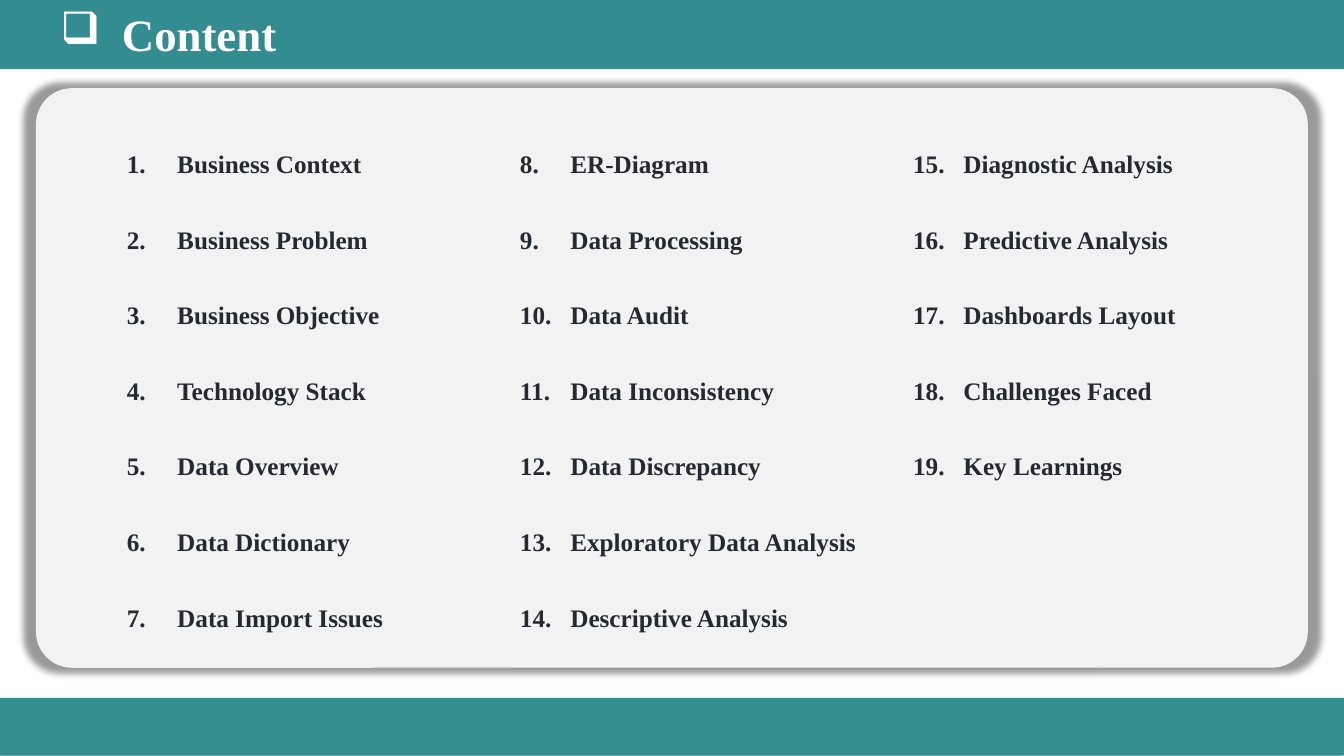
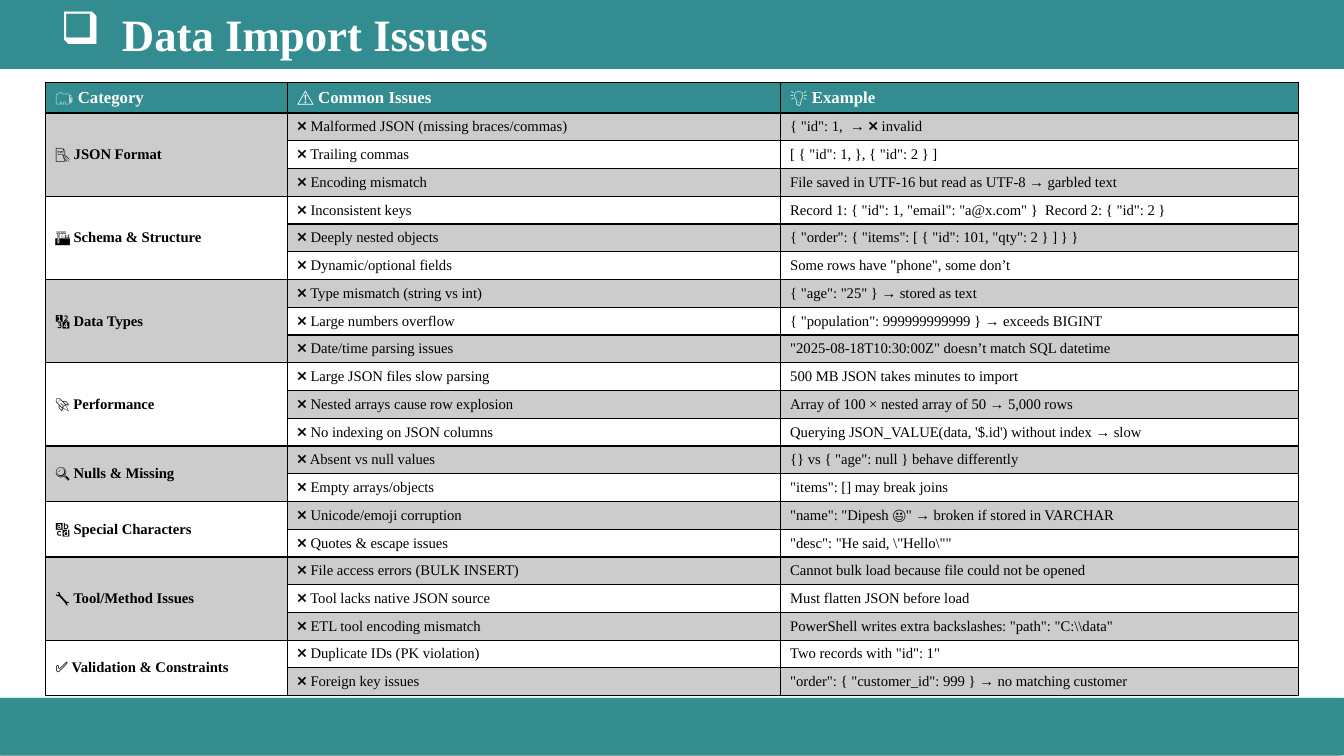
"""Build the content and data import slides."""
from lxml import etree
from pptx import Presentation
from pptx.dml.color import RGBColor
from pptx.enum import shapes, text
from pptx.oxml import ns
from pptx.util import Pt

TEAL = RGBColor(0x33, 0x8D, 0x90)
BASE = RGBColor(0x34, 0x8E, 0x90)
PANEL = RGBColor(0xF2, 0xF2, 0xF2)
INK = RGBColor(0x25, 0x29, 0x30)
GREY = RGBColor(0xCC, 0xCC, 0xCC)
WHITE = RGBColor(0xFF, 0xFF, 0xFF)
BLACK = RGBColor(0, 0, 0)
FONT = "Times New Roman"
WIDTH, HEIGHT = 960, 540
RECT = shapes.MSO_SHAPE.RECTANGLE
ROUND = shapes.MSO_SHAPE.ROUNDED_RECTANGLE

TOPICS = [
    ["Business Context", "Business Problem", "Business Objective", "Technology Stack",
     "Data Overview", "Data Dictionary", "Data Import Issues"],
    ["ER-Diagram", "Data Processing", "Data Audit", "Data Inconsistency",
     "Data Discrepancy", "Exploratory Data Analysis", "Descriptive Analysis"],
    ["Diagnostic Analysis", "Predictive Analysis", "Dashboards Layout",
     "Challenges Faced", "Key Learnings"],
]
HEADS = ["🗂️ Category", "⚠️ Common Issues", "💡 Example"]
GROUPS = [
    ("📝 ", "JSON Format", [
        ("Malformed JSON (missing braces/commas)", '{ "id": 1,  → ❌ invalid'),
        ("Trailing commas", '[ { "id": 1, }, { "id": 2 } ]'),
        ("Encoding mismatch", "File saved in UTF-16 but read as UTF-8 → garbled text")]),
    ("🏗️ ", "Schema & Structure", [
        ("Inconsistent keys", 'Record 1: { "id": 1, "email": "a@x.com" }  Record 2: { "id": 2 }'),
        ("Deeply nested objects", '{ "order": { "items": [ { "id": 101, "qty": 2 } ] } }'),
        ("Dynamic/optional fields", 'Some rows have "phone", some don’t')]),
    ("🔢 ", "Data Types", [
        ("Type mismatch (string vs int)", '{ "age": "25" } → stored as text'),
        ("Large numbers overflow", '{ "population": 999999999999 } → exceeds BIGINT'),
        ("Date/time parsing issues", '"2025-08-18T10:30:00Z" doesn’t match SQL datetime')]),
    ("🚀 ", "Performance", [
        ("Large JSON files slow parsing", "500 MB JSON takes minutes to import"),
        ("Nested arrays cause row explosion", "Array of 100 × nested array of 50 → 5,000 rows"),
        ("No indexing on JSON columns", "Querying JSON_VALUE(data, '$.id') without index → slow")]),
    ("🔍 ", "Nulls & Missing", [
        ("Absent vs null values", '{} vs { "age": null } behave differently'),
        ("Empty arrays/objects", '"items": [] may break joins')]),
    ("🔡 ", "Special Characters", [
        ("Unicode/emoji corruption", '"name": "Dipesh 😃" → broken if stored in VARCHAR'),
        ("Quotes & escape issues", r'"desc": "He said, \"Hello\""')]),
    ("🔧 ", "Tool/Method Issues", [
        ("File access errors (BULK INSERT)", "Cannot bulk load because file could not be opened"),
        ("Tool lacks native JSON source", "Must flatten JSON before load"),
        ("ETL tool encoding mismatch", r'PowerShell writes extra backslashes: "path": "C:\\data"')]),
    ("✅ ", "Validation & Constraints", [
        ("Duplicate IDs (PK violation)", 'Two records with "id": 1"'),
        ("Foreign key issues", '"order": { "customer_id": 999 } → no matching customer')]),
]


def node(owner, tag, **attrs):
    item = etree.SubElement(owner, ns.qn(tag))
    for name, value in attrs.items():
        item.set(name, str(value))
    return item


def write(para, words, size, color, bold=False):
    run = para.add_run()
    run.text = words
    font = run.font
    font.name, font.size, font.bold = FONT, Pt(size), bold
    font.color.rgb = color


def bullet(para, left, hang, tag, **attrs):
    props = para._p.get_or_add_pPr()
    props.set("marL", str(Pt(left)))
    props.set("indent", str(Pt(-hang)))
    node(props, tag, **attrs)


def block(slide, kind, box, fill, line=None):
    shape = slide.shapes.add_shape(kind, *map(Pt, box))
    shape.shadow.inherit = False
    shape.fill.solid()
    shape.fill.fore_color.rgb = fill
    if line:
        shape.line.color.rgb = fill
        shape.line.width = Pt(line)
    else:
        shape.line.fill.background()
    return shape


def shade(shape, blur, dist, angle, scale, align):
    effects = shape._element.spPr.find(ns.qn("a:effectLst"))
    outer = node(effects, "a:outerShdw", blurRad=Pt(blur), dist=Pt(dist), dir=angle * 60000,
                 sx=scale * 1000, sy=scale * 1000, algn=align, rotWithShape=0)
    color = node(outer, "a:prstClr", val="black")
    node(color, "a:alpha", val=40000)


def footer(slide):
    band = block(slide, RECT, (0, 498.5, WIDTH, 41), BASE)
    shade(band, 4, 3, 135, 100, "tr")


def title(slide, words):
    band = block(slide, RECT, (0, 0, WIDTH, 48.5), TEAL, 2)
    frame = band.text_frame
    frame.vertical_anchor = text.MSO_ANCHOR.MIDDLE
    para = frame.paragraphs[0]
    para.alignment = text.PP_ALIGN.LEFT
    bullet(para, 80, 44, "a:buChar", char="❑")
    write(para, words, 32, WHITE, True)


def topics(slide, left, start, names):
    box = slide.shapes.add_textbox(Pt(left), Pt(70), Pt(273), Pt(7.2 + 54 * len(names)))
    frame = box.text_frame
    frame.word_wrap = True
    for i, name in enumerate(names):
        para = frame.add_paragraph() if i else frame.paragraphs[0]
        bullet(para, 36, 36, "a:buAutoNum", type="arabicPeriod", startAt=start)
        para.line_spacing = Pt(54)
        write(para, name, 18, INK, True)


def border(cell, base):
    props = cell._tc.get_or_add_tcPr()
    for i, side in enumerate("LRTB"):
        line = etree.Element(ns.qn("a:ln" + side), w=str(Pt(base if side == "B" else 1)))
        node(node(line, "a:solidFill"), "a:srgbClr", val=str(BLACK))
        props.insert(i, line)


def style(cell, fill, base=1):
    cell.fill.solid()
    cell.fill.fore_color.rgb = fill
    cell.vertical_anchor = text.MSO_ANCHOR.MIDDLE
    cell.margin_top = cell.margin_bottom = Pt(2)
    border(cell, base)


def put(cell, *parts, size=10.5, color=BLACK):
    for words, bold in parts:
        write(cell.text_frame.paragraphs[0], words, size, color, bold)


def issues(slide):
    count = 1 + sum(len(rows) for _, _, rows in GROUPS)
    frame = slide.shapes.add_table(count, 3, Pt(32.3), Pt(58.8), Pt(895.1), Pt(438.4))
    table = frame.table
    table.first_row = table.horz_banding = False
    for col, width in zip(table.columns, (172.8, 352.2, 370.1)):
        col.width = Pt(width)
    for i, row in enumerate(table.rows):
        row.height = Pt(19.83 if i else 22)
    for i, name in enumerate(HEADS):
        style(table.cell(0, i), TEAL, 2)
        put(table.cell(0, i), (name, True), size=12, color=WHITE)
    top = 1
    for i, (icon, name, rows) in enumerate(GROUPS):
        for y, (issue, case) in enumerate(rows, top):
            fill = GREY if y % 2 else WHITE
            style(table.cell(y, 0), WHITE if i % 2 else GREY)
            style(table.cell(y, 1), fill)
            style(table.cell(y, 2), fill)
            put(table.cell(y, 1), ("❌ " + issue, False))
            put(table.cell(y, 2), (case, False))
        head = table.cell(top, 0)
        put(head, (icon, False), (name, True))
        top += len(rows)
        head.merge(table.cell(top - 1, 0))


def main():
    deck = Presentation()
    deck.slide_width, deck.slide_height = Pt(WIDTH), Pt(HEIGHT)

    slide = deck.slides.add_slide(deck.slide_layouts[6])
    footer(slide)
    panel = block(slide, ROUND, (26.7, 64, 906.5, 412), PANEL, 2)
    panel.adjustments[0] = 0.06
    shade(panel, 5, 0, 0, 102, "ctr")
    start = 1
    for i, names in enumerate(TOPICS):
        topics(slide, 83.5 + 280.8 * i, start, names)
        start += len(names)
    title(slide, "Content")

    slide = deck.slides.add_slide(deck.slide_layouts[6])
    footer(slide)
    issues(slide)
    title(slide, "Data Import Issues")
    deck.save("out.pptx")


if __name__ == "__main__":
    main()
